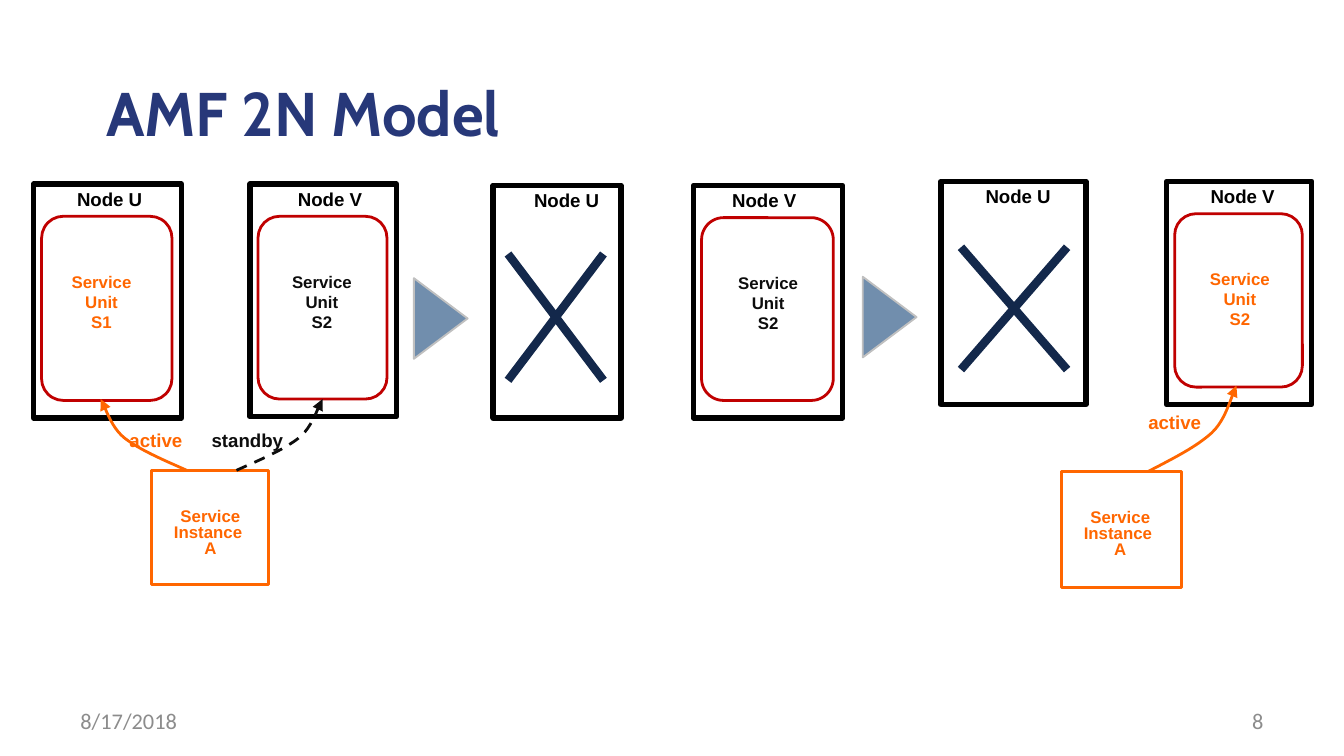
from lxml import etree
from pptx import Presentation
from pptx.dml.color import RGBColor
from pptx.enum.dml import MSO_LINE
from pptx.enum.shapes import MSO_CONNECTOR, MSO_SHAPE
from pptx.enum.text import MSO_ANCHOR, MSO_AUTO_SIZE, PP_ALIGN
from pptx.oxml.ns import qn
from pptx.util import Inches, Pt

RECT, ROUND, ARROW = MSO_SHAPE.RECTANGLE, MSO_SHAPE.ROUNDED_RECTANGLE, MSO_SHAPE.RIGHT_ARROW
STRAIGHT, DASH = MSO_CONNECTOR.STRAIGHT, MSO_LINE.DASH
LEFT, CENTER, RIGHT = PP_ALIGN.LEFT, PP_ALIGN.CENTER, PP_ALIGN.RIGHT
TOP, MIDDLE, FIXED = MSO_ANCHOR.TOP, MSO_ANCHOR.MIDDLE, MSO_AUTO_SIZE.NONE
BLACK, DARK, ORANGE, RED = "000000", "0D0D0D", "FF6600", "C00000"
NAVY, TITLE, STEEL, SILVER, GREY = "13284B", "273879", "718EAD", "C0C0C0", "8C8C8C"


def rgb(value):
    """Turn a hex string into a colour."""
    return RGBColor.from_string(value)


def set_line(shape, color, width):
    """Set the outline colour and width in points."""
    shape.line.color.rgb = rgb(color)
    shape.line.width = Pt(width)


def write(tf, text, size, color, font="Arial", bold=True, align=CENTER, spacing=None):
    """Fill a text frame and format every paragraph alike."""
    tf.text = text
    for p in tf.paragraphs:
        p.alignment = align
        p.line_spacing = spacing
        for r in p.runs:
            r.font.name, r.font.size, r.font.bold = font, Pt(size), bold
            r.font.color.rgb = rgb(color)


def add_box(s, kind, x, y, w, h, color, width, fill=None):
    """Add an outlined preset shape, hollow unless a fill is given."""
    box = s.shapes.add_shape(kind, Inches(x), Inches(y), Inches(w), Inches(h))
    box.shadow.inherit = False
    if fill:
        box.fill.solid()
        box.fill.fore_color.rgb = rgb(fill)
    else:
        box.fill.background()
    set_line(box, color, width)
    return box


def add_label(s, x, y, w, h, text, size, color, spacing=None):
    """Add a centred bold label that does not wrap."""
    tf = s.shapes.add_textbox(Inches(x), Inches(y), Inches(w), Inches(h)).text_frame
    tf.word_wrap = False
    write(tf, text, size, color, spacing=spacing)


def add_node(s, x, y, w, h, name, name_dx, unit=None, unit_dx=0, color=DARK):
    """Draw a node with its name and, if it is up, its service unit."""
    add_box(s, RECT, x, y, w, h, BLACK, 3)
    if unit:
        add_box(s, ROUND, x + 0.06, y + 0.24, w - 0.13, h - 0.37, RED, 1.5)
        add_label(s, x + unit_dx, y + 0.6, 0.65, 0.56, f"Service\nUnit\n{unit}", 9, color)
    add_label(s, x + name_dx, y - 0.02, 0.69, 0.27, name, 10, BLACK)


def add_cross(s, x, y, w, h):
    """Cross out a failed node with two diagonals."""
    for x1, x2 in ((x, x + w), (x + w, x)):
        line = s.shapes.add_connector(STRAIGHT, Inches(x1), Inches(y), Inches(x2), Inches(y + h))
        set_line(line, NAVY, 4.5)
        etree.SubElement(line._element.spPr, qn("a:effectLst"))


def add_instance(s, x, y, w, h):
    """Draw the service instance box with its caption."""
    add_box(s, RECT, x, y, w, h, ORANGE, 1.5)
    add_label(s, x + 0.06, y + 0.24, 0.75, 0.46, "Service\nInstance \nA", 9, ORANGE, 0.8)


def bezier(points, steps=12):
    """Return points along a cubic curve, without its start."""
    ts = [i / steps for i in range(1, steps + 1)]
    weights = [((1 - t) ** 3, 3 * t * (1 - t) ** 2, 3 * t * t * (1 - t), t ** 3) for t in ts]
    return [tuple(sum(k * p[axis] for k, p in zip(row, points)) for axis in (0, 1))
            for row in weights]


def add_assignment(s, x, y, w, h, color, dash=None):
    """Curve an arrow from the instance at (x, y) up to a unit; negative w bends left."""
    knots = [(0, 0), (0.28, 0.15), (0.55, 0.29), (0.72, 0.45),
             (0.89, 0.61), (0.95, 0.91), (1, 1)]
    pts = [(x + w * u, y - h * v) for u, v in knots]
    curve = bezier(pts[:4]) + bezier(pts[3:])
    builder = s.shapes.build_freeform(Inches(x), Inches(y))
    builder.add_line_segments([(Inches(a), Inches(b)) for a, b in curve], close=False)
    arrow = builder.convert_to_shape()
    arrow.shadow.inherit = False
    arrow.fill.background()
    set_line(arrow, color, 1.5)
    if dash:
        arrow.line.dash_style = dash
    etree.SubElement(arrow.line._get_or_add_ln(), qn("a:tailEnd"), type="triangle")


def add_step(s, x, y):
    """Add the arrowhead that leads to the next state."""
    step = add_box(s, ARROW, x, y, 0.4, 0.6, SILVER, 1, STEEL)
    step.adjustments[0], step.adjustments[1] = 0.5, 1.55


def add_initial_state(s, x, y):
    """Both nodes up: S1 is active and S2 on standby."""
    add_node(s, x, y, 1.1, 1.74, "Node U", 0.22, "S1", 0.18, ORANGE)
    add_node(s, x + 1.61, y, 1.09, 1.73, "Node V", 0.25, "S2", 0.21)
    add_instance(s, x + 0.88, y + 2.13, 0.87, 0.85)
    add_label(s, x + 0.61, y + 1.77, 0.6, 0.27, "active", 10, ORANGE)
    add_label(s, x + 1.22, y + 1.77, 0.74, 0.27, "standby", 10, DARK)
    add_assignment(s, x + 1.14, y + 2.13, -0.64, 0.53, ORANGE)
    add_assignment(s, x + 1.51, y + 2.13, 0.64, 0.53, DARK, DASH)


def add_failed_state(s, x, y):
    """Node U has failed and S2 has no assignment yet."""
    add_node(s, x, y, 0.95, 1.73, "Node U", 0.2)
    add_node(s, x + 1.49, y, 1.11, 1.73, "Node V", 0.18, "S2", 0.23)
    add_cross(s, x + 0.11, y + 0.51, 0.71, 0.94)


def add_recovered_state(s, x, y):
    """S2 on node V has taken over the active role."""
    add_node(s, x, y, 1.08, 1.66, "Node U", 0.23)
    add_node(s, x + 1.68, y, 1.08, 1.66, "Node V", 0.22, "S2", 0.22, ORANGE)
    add_instance(s, x + 0.9, y + 2.16, 0.89, 0.86)
    add_label(s, x + 1.44, y + 1.66, 0.6, 0.27, "active", 10, ORANGE)
    add_assignment(s, x + 1.54, y + 2.16, 0.66, 0.64, ORANGE)
    add_cross(s, x + 0.15, y + 0.49, 0.79, 0.91)


def add_title(s, x, y, w, h):
    """Move and format the title placeholder."""
    title = s.shapes.title
    title.left, title.top, title.width, title.height = map(Inches, (x, y, w, h))
    tf = title.text_frame
    tf.auto_size, tf.vertical_anchor = FIXED, TOP
    write(tf, "AMF 2N Model", 33, TITLE, "Cabin", align=LEFT, spacing=0.9)


def add_footer(s, y):
    """Add the date and the slide number."""
    for x, text, align in ((0.5, "8/17/2018", LEFT), (7.17, "8", RIGHT)):
        box = s.shapes.add_textbox(Inches(x), Inches(y), Inches(2.33), Inches(0.3))
        tf = box.text_frame
        tf.word_wrap, tf.vertical_anchor = True, MIDDLE
        write(tf, text, 12, GREY, "Calibri", False, align)


def main():
    """Build the 16:9 slide and save it."""
    prs = Presentation()
    prs.slide_width = Inches(10)
    prs.slide_height = prs.slide_width * 9 // 16
    s = prs.slides.add_slide(prs.slide_layouts[5])
    add_title(s, 0.69, 0.57, 8.62, 0.68)
    add_initial_state(s, 0.25, 1.37)
    add_step(s, 3.08, 2.07)
    add_failed_state(s, 3.67, 1.38)
    add_step(s, 6.42, 2.06)
    add_recovered_state(s, 7, 1.35)
    add_footer(s, 5.21)
    prs.save("out.pptx")


if __name__ == "__main__":
    main()
